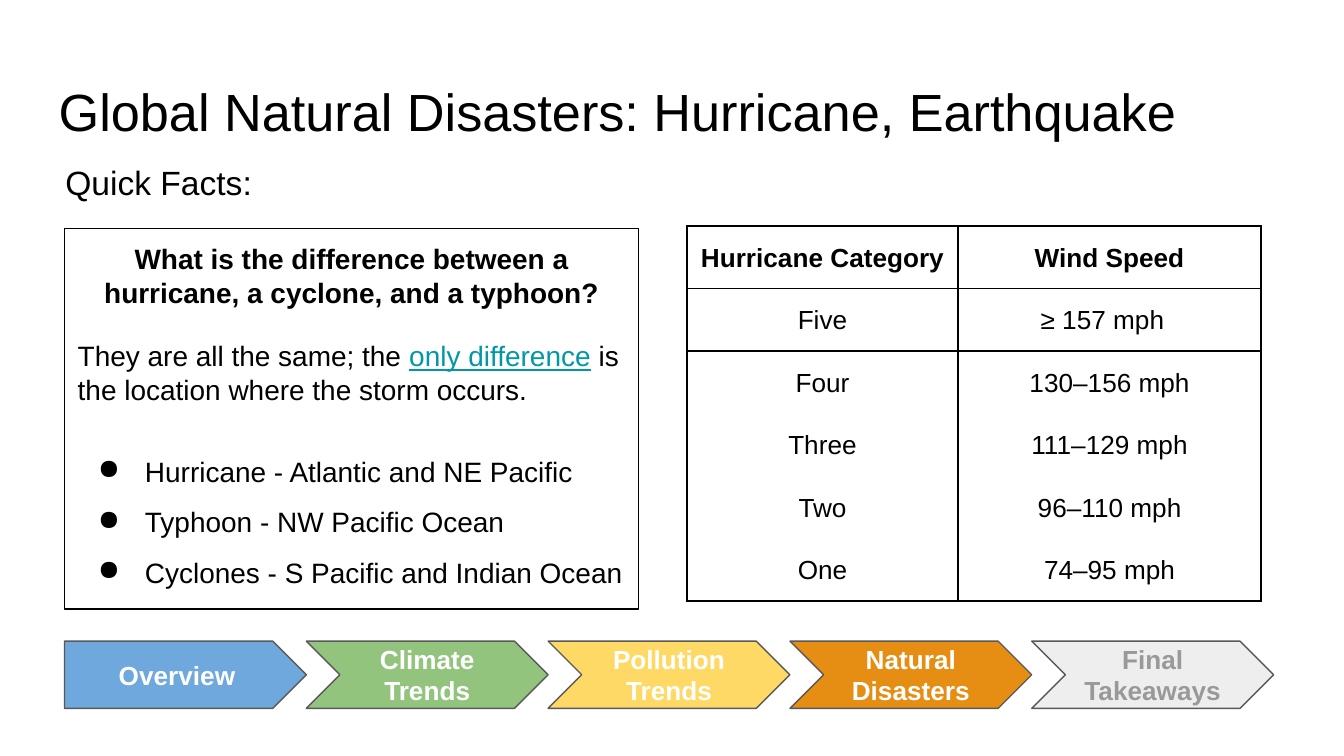
from dataclasses import dataclass

from lxml.etree import SubElement
from pptx import Presentation
from pptx.dml.color import RGBColor
from pptx.enum.shapes import MSO_SHAPE as Preset
from pptx.enum.text import MSO_ANCHOR as Anchor, PP_ALIGN as Align
from pptx.oxml.ns import qn
from pptx.slide import Slide
from pptx.table import _Cell as Cell
from pptx.text.text import Font, TextFrame, _Paragraph as Paragraph
from pptx.util import Cm, Pt

COLORS = {
    "black": "000000", "white": "FFFFFF", "link": "0097A7", "outline": "595959",
    "muted": "999999", "blue": "6FA8DC", "green": "93C47D", "yellow": "FFD966",
    "orange": "E68D14", "pale": "EEEEEE",
}


@dataclass
class Step:
    label: str
    fill: str
    text: str = "white"


@dataclass
class Category:
    name: str
    speed: str
    right_margin: float = 0.18


STEPS = [
    Step("Overview", "blue"),
    Step("Climate Trends", "green"),
    Step("Pollution Trends", "yellow"),
    Step("Natural Disasters", "orange"),
    Step("Final Takeaways", "pale", "muted"),
]
CATEGORIES = [
    Category("Hurricane Category", "Wind Speed"),
    Category("Five", "≥ 157 mph", 0.45),
    Category("Four", "130–156 mph"),
    Category("Three", "111–129 mph"),
    Category("Two", "96–110 mph"),
    Category("One", "74–95 mph"),
]
REGIONS = [
    "Hurricane - Atlantic and NE Pacific",
    "Typhoon - NW Pacific Ocean",
    "Cyclones - S Pacific and Indian Ocean",
]


def color(name: str) -> RGBColor:
    return RGBColor.from_string(COLORS[name])


def style_font(font: Font, size: float, name: str = "black", bold: bool = False) -> None:
    font.name = "Arial"
    font.size = Pt(size)
    font.bold = bold
    font.color.rgb = color(name)


def set_frame(frame: TextFrame, anchor: Anchor = Anchor.TOP) -> None:
    frame.word_wrap = True
    frame.vertical_anchor = anchor
    frame.margin_left = frame.margin_right = Cm(0.25)
    frame.margin_top = frame.margin_bottom = Cm(0.25)


def add_bullet(para: Paragraph) -> None:
    properties = para._p.get_or_add_pPr()
    properties.set("marL", str(Cm(1.27)))
    properties.set("indent", str(Cm(-0.89)))
    SubElement(properties, qn("a:buChar")).set("char", "●")


def add_titles(page: Slide) -> None:
    title = page.shapes.title
    title.left, title.top, title.width, title.height = Cm(0.86), Cm(1.24), Cm(23.67), Cm(1.6)
    subtitle = page.shapes.add_textbox(Cm(0.89), Cm(2.82), Cm(4.22), Cm(1.27))
    for box, text, size, align in (
        (title, "Global Natural Disasters: Hurricane, Earthquake", 28, Align.LEFT),
        (subtitle, "Quick Facts:", 18, Align.CENTER),
    ):
        set_frame(box.text_frame)
        para = box.text_frame.paragraphs[0]
        para.text = text
        para.alignment = align
        style_font(para.font, size)


def add_facts(page: Slide) -> None:
    box = page.shapes.add_textbox(Cm(1.22), Cm(4.32), Cm(10.85), Cm(7.19))
    box.line.color.rgb = color("black")
    box.line.width = Pt(0.75)
    frame = box.text_frame
    set_frame(frame)

    heading = frame.paragraphs[0]
    heading.text = "What is the difference between a hurricane, a cyclone, and a typhoon?"
    heading.alignment = Align.CENTER
    heading.space_after = Pt(16)
    style_font(heading.font, 15, bold=True)

    answer = frame.add_paragraph()
    answer.space_after = Pt(17)
    for text, name in (
        ("They are all the same; the ", "black"),
        ("only difference", "link"),
        (" is the location where the storm occurs.", "black"),
    ):
        span = answer.add_run()
        span.text = text
        style_font(span.font, 15, name)
        span.font.underline = name == "link"

    for region in REGIONS:
        para = frame.add_paragraph()
        para.text = region
        add_bullet(para)
        para.line_spacing = 1.5
        style_font(para.font, 15)


def set_borders(cell: Cell, edges: str) -> None:
    properties = cell._tc.get_or_add_tcPr()
    for edge in "LRTB":
        line = SubElement(properties, qn(f"a:ln{edge}"), w=str(Pt(1)))
        if edge in edges:
            fill = SubElement(line, qn("a:solidFill"))
            SubElement(fill, qn("a:srgbClr"), val=COLORS["black"])
        else:
            SubElement(line, qn("a:noFill"))


def add_categories(page: Slide) -> None:
    row_height = Cm(1.17)
    widths = [Cm(5.13), Cm(5.72)]
    table = page.shapes.add_table(
        len(CATEGORIES), len(widths), Cm(12.98), Cm(4.27),
        sum(widths), row_height * len(CATEGORIES),
    ).table
    table.first_row = table.horz_banding = False
    for column, width in zip(table.columns, widths):
        column.width = width
    last = len(CATEGORIES) - 1
    for row, category in enumerate(CATEGORIES):
        table.rows[row].height = row_height
        edges = "LR" + ("T" if row <= 2 else "") + ("B" if row < 2 or row == last else "")
        for column, text in enumerate((category.name, category.speed)):
            cell = table.cell(row, column)
            cell.margin_left = Cm(0.18)
            cell.margin_right = Cm(category.right_margin if column else 0.18)
            cell.margin_top = cell.margin_bottom = Cm(0.25)
            set_borders(cell, edges)
            cell.fill.background()
            para = cell.text_frame.paragraphs[0]
            para.text = text
            para.alignment = Align.CENTER
            para.line_spacing = 1.15
            style_font(para.font, 14, bold=row == 0)


def add_steps(page: Slide) -> None:
    width = 4.57
    for index, step in enumerate(STEPS):
        preset = Preset.CHEVRON if index else Preset.PENTAGON
        arrow = page.shapes.add_shape(
            preset, Cm(1.22 + index * width), Cm(12.12), Cm(width), Cm(1.27)
        )
        arrow.shadow.inherit = False
        arrow.fill.solid()
        arrow.fill.fore_color.rgb = color(step.fill)
        arrow.line.color.rgb = color("outline")
        arrow.line.width = Pt(0.75)
        set_frame(arrow.text_frame, Anchor.MIDDLE)
        para = arrow.text_frame.paragraphs[0]
        para.text = step.label
        para.alignment = Align.CENTER
        style_font(para.font, 14, step.text, bold=True)


def main() -> None:
    deck = Presentation()
    deck.slide_width, deck.slide_height = Cm(25.4), Cm(14.29)
    page = deck.slides.add_slide(deck.slide_layouts[5])
    add_titles(page)
    add_facts(page)
    add_categories(page)
    add_steps(page)
    deck.save("out.pptx")


if __name__ == "__main__":
    main()
